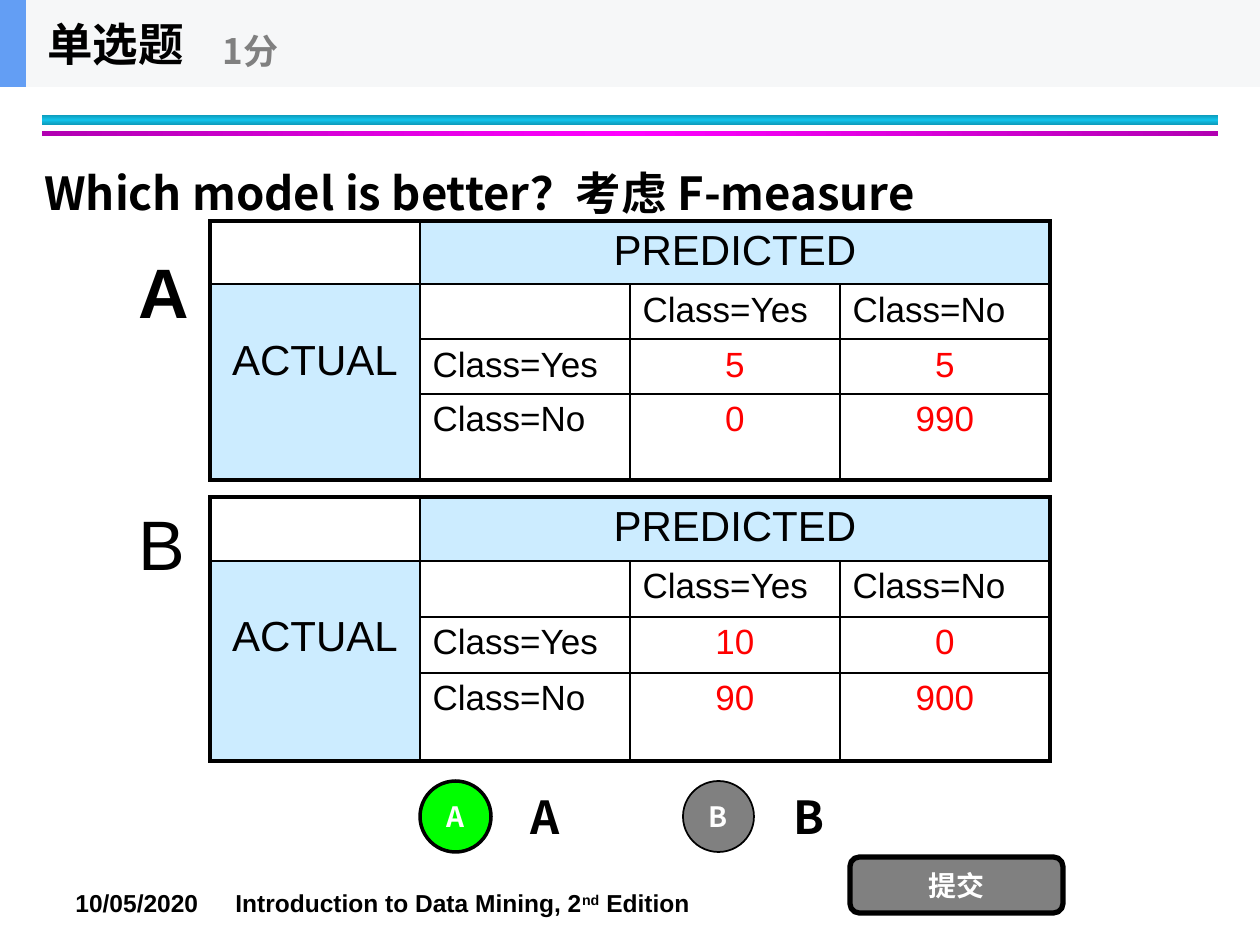
from copy import deepcopy
from dataclasses import dataclass

from lxml import etree
from pptx import Presentation
from pptx.dml.color import RGBColor
from pptx.enum.shapes import MSO_SHAPE
from pptx.enum.text import MSO_ANCHOR, PP_ALIGN
from pptx.oxml.ns import qn
from pptx.util import Pt

EMU_PER_PX = 914400 / 126
RECT, OVAL, ROUND = MSO_SHAPE.RECTANGLE, MSO_SHAPE.OVAL, MSO_SHAPE.ROUNDED_RECTANGLE
LEFT, CENTER = PP_ALIGN.LEFT, PP_ALIGN.CENTER
TOP, MIDDLE = MSO_ANCHOR.TOP, MSO_ANCHOR.MIDDLE
LATIN, CJK = "Arial", "Noto Sans CJK SC"

BLACK = RGBColor(0x00, 0x00, 0x00)
WHITE = RGBColor(0xFF, 0xFF, 0xFF)
GRAY = RGBColor(0x80, 0x80, 0x80)
RED = RGBColor(0xFF, 0x00, 0x00)
GREEN = RGBColor(0x00, 0xFF, 0x00)
PALE_BLUE = RGBColor(0xCC, 0xEC, 0xFF)
HEADER_GRAY = RGBColor(0xF6, 0xF7, 0xF8)
HEADER_BLUE = RGBColor(0x63, 0x9E, 0xF4)
TEAL, CYAN = RGBColor(0x0E, 0x9B, 0xBA), RGBColor(0x12, 0xC2, 0xE9)
PURPLE, MAGENTA = RGBColor(0xB2, 0x00, 0xB2), RGBColor(0xFF, 0x00, 0xFF)

THIN, THICK = 1, 2.25
COL_WIDTH = 210
LAST = 3


@dataclass
class Box:
    x: int
    y: int
    w: int
    h: int


@dataclass
class Style:
    size: int
    font: str = CJK
    color: RGBColor = BLACK
    bold: bool = True


@dataclass
class Label:
    text: str
    box: Box
    style: Style
    anchor: MSO_ANCHOR = MIDDLE


@dataclass
class Button:
    text: str
    kind: MSO_SHAPE
    box: Box
    fill: RGBColor
    line: int


@dataclass
class Matrix:
    """A confusion matrix; counts are [actual][predicted], Yes before No."""
    y: int
    rows: list[int]
    counts: list[list[int]]


LABELS = [
    Label("Which model is better？考虑 F-measure", Box(32, 110, 1008, 165), Style(26)),
    Label("A", Box(518, 772, 120, 88), Style(26)),
    Label("B", Box(781, 772, 120, 88), Style(26)),
    Label("A", Box(126, 242, 77, 97), Style(40, LATIN), TOP),
    Label("B", Box(126, 494, 73, 97), Style(40, LATIN, bold=False), TOP),
    Label("单选题", Box(35, 0, 262, 87), Style(26)),
    Label("1分", Box(210, 15, 315, 71), Style(20, color=GRAY)),
]
BUTTONS = [
    Button("A", OVAL, Box(420, 781, 71, 71), GREEN, 2),
    Button("B", OVAL, Box(683, 781, 71, 71), GRAY, 1),
    Button("提交", ROUND, Box(850, 857, 213, 56), GRAY, 3),
]
MATRICES = [
    Matrix(221, [63, 55, 55, 86], [[5, 5], [0, 990]]),
    Matrix(497, [64, 56, 56, 88], [[10, 0], [90, 900]]),
]


def px(n: float) -> int:
    return round(n * EMU_PER_PX)


def place(box: Box) -> tuple[int, ...]:
    return px(box.x), px(box.y), px(box.w), px(box.h)


def format_runs(p, style: Style, align=LEFT) -> None:
    p.alignment = align
    for r in p.runs:
        r.font.size, r.font.bold, r.font.name = Pt(style.size), style.bold, style.font
        r.font.color.rgb = style.color
        etree.SubElement(r._r.get_or_add_rPr(), qn("a:ea"), typeface=style.font)


def add_shape(slide, kind, box: Box, fill: RGBColor):
    sp = slide.shapes.add_shape(kind, *place(box))
    sp.shadow.inherit = False
    sp.fill.solid()
    sp.fill.fore_color.rgb = fill
    sp.line.fill.background()
    return sp


def add_rule(slide, box: Box, edge: RGBColor, middle: RGBColor, angle: int) -> None:
    """Draw a bar shaded from its edges to its middle."""
    sp = add_shape(slide, RECT, box, edge)
    sp.fill.gradient()
    sp.fill.gradient_angle = angle
    first = sp._element.spPr.find(".//" + qn("a:gs"))
    first.addnext(deepcopy(first))
    for stop, color, pos in zip(sp.fill.gradient_stops, (edge, middle, edge), (0, 0.5, 1)):
        stop.color.rgb, stop.position = color, pos


def add_label(slide, label: Label):
    tf = slide.shapes.add_textbox(*place(label.box)).text_frame
    tf.word_wrap, tf.vertical_anchor = True, label.anchor
    tf.text = label.text
    format_runs(tf.paragraphs[0], label.style)
    return tf.paragraphs[0]


def add_button(slide, button: Button) -> None:
    sp = add_shape(slide, button.kind, button.box, button.fill)
    sp.line.color.rgb, sp.line.width = BLACK, Pt(button.line)
    tf = sp.text_frame
    tf.margin_left = tf.margin_right = 0
    tf.vertical_anchor = MIDDLE
    tf.text = button.text
    format_runs(tf.paragraphs[0], Style(16, color=WHITE), CENTER)


def add_borders(cell, row: int, col: int) -> None:
    """Rule the cell, thicker where it meets the outside of the table."""
    outer = {
        "L": col == 0,
        "R": col + cell.span_width - 1 == LAST,
        "T": row == 0,
        "B": row + cell.span_height - 1 == LAST,
    }
    tc_pr = cell._tc.get_or_add_tcPr()
    for side, is_outer in outer.items():
        ln = etree.SubElement(tc_pr, qn(f"a:ln{side}"), w=str(Pt(THICK if is_outer else THIN)))
        fill = etree.SubElement(ln, qn("a:solidFill"))
        etree.SubElement(fill, qn("a:srgbClr"), val=str(BLACK))


def add_matrix(slide, matrix: Matrix) -> None:
    box = Box(210, matrix.y, 4 * COL_WIDTH, sum(matrix.rows))
    table = slide.shapes.add_table(4, 4, *place(box)).table
    table.first_row = table.horz_banding = False
    for column in table.columns:
        column.width = px(COL_WIDTH)
    for row, height in zip(table.rows, matrix.rows):
        row.height = px(height)
    table.cell(0, 1).merge(table.cell(0, LAST))
    table.cell(1, 0).merge(table.cell(LAST, 0))

    classes = ["Class=Yes", "Class=No"]
    texts = [["", "PREDICTED", "", ""], ["ACTUAL", "", *classes]]
    texts += [["", name, *map(str, counts)] for name, counts in zip(classes, matrix.counts)]
    for i, line in enumerate(texts):
        for j, text in enumerate(line):
            cell = table.cell(i, j)
            if cell.is_spanned:
                continue
            add_borders(cell, i, j)
            cell.fill.background()
            cell.text = text
            style, align = Style(20, LATIN, bold=False), LEFT
            if cell.is_merge_origin:
                cell.fill.solid()
                cell.fill.fore_color.rgb = PALE_BLUE
                style.size, align = 24, CENTER
            elif i > 1 and j > 1:
                style.color, align = RED, CENTER
            format_runs(cell.text_frame.paragraphs[0], style, align)
    table.cell(1, 0).margin_top = px(53)


def add_footer(slide) -> None:
    text = "10/05/2020\tIntroduction to Data Mining, 2"
    p = add_label(slide, Label(text, Box(63, 882, 1176, 43), Style(14, LATIN), TOP))
    tabs = etree.SubElement(p._p.get_or_add_pPr(), qn("a:tabLst"))
    etree.SubElement(tabs, qn("a:tab"), pos=str(px(160)), algn="l")
    for part in ("nd", " Edition"):
        r = p.add_run()
        r.text = part
    format_runs(p, Style(14, LATIN))
    p.runs[1]._r.get_or_add_rPr().set("baseline", "30000")


def main() -> None:
    prs = Presentation()
    prs.slide_width, prs.slide_height = px(1260), px(945)
    slide = prs.slides.add_slide(prs.slide_layouts[6])
    add_rule(slide, Box(42, 115, 1176, 10), TEAL, CYAN, 90)
    add_rule(slide, Box(42, 131, 1176, 5), PURPLE, MAGENTA, 0)
    add_shape(slide, RECT, Box(0, 0, 1260, 87), HEADER_GRAY)
    add_shape(slide, RECT, Box(0, 0, 26, 87), HEADER_BLUE)
    add_footer(slide)
    for button in BUTTONS:
        add_button(slide, button)
    for matrix in MATRICES:
        add_matrix(slide, matrix)
    for label in LABELS:
        add_label(slide, label)
    prs.save("out.pptx")


if __name__ == "__main__":
    main()
